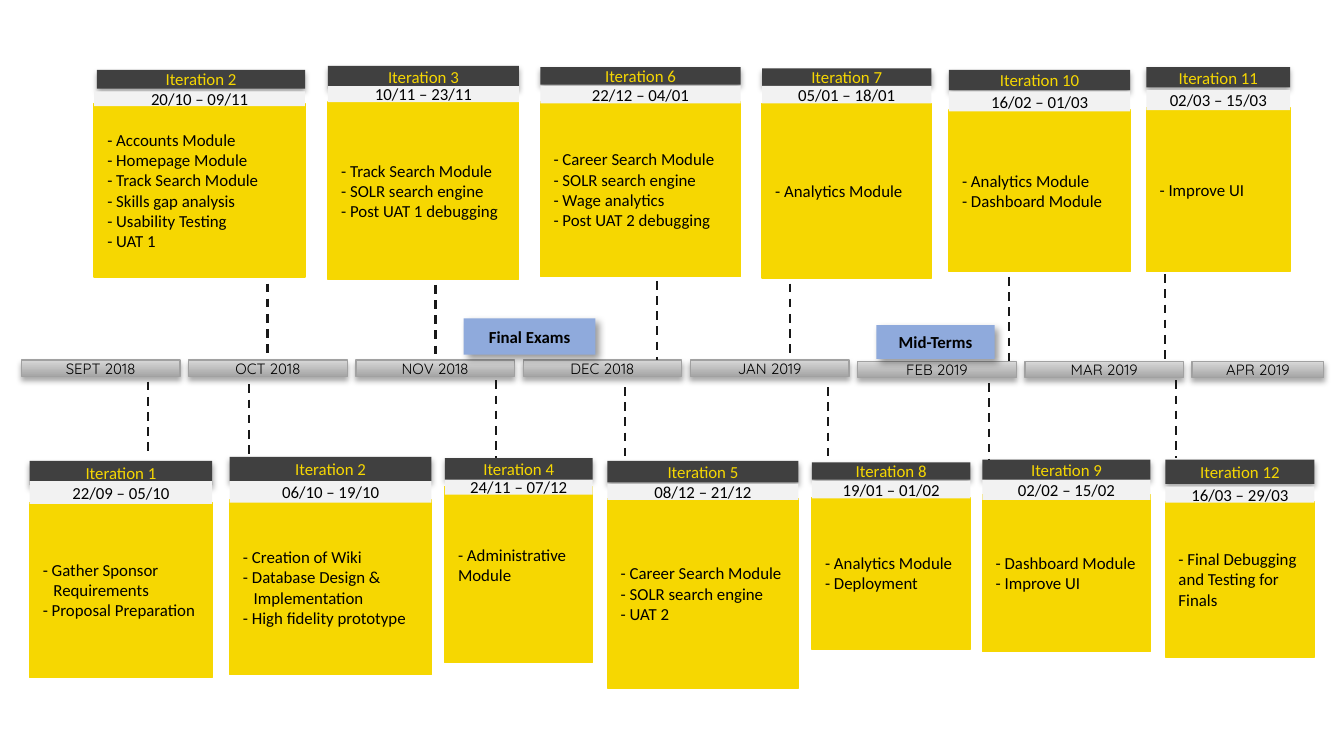
from typing import NamedTuple

from lxml import etree
from pptx import Presentation
from pptx.dml.color import RGBColor
from pptx.enum.dml import MSO_LINE
from pptx.enum.shapes import MSO_CONNECTOR, MSO_SHAPE
from pptx.enum.text import MSO_ANCHOR, PP_ALIGN
from pptx.oxml.ns import qn
from pptx.util import Inches, Pt

RECTANGLE = MSO_SHAPE.RECTANGLE
STRAIGHT = MSO_CONNECTOR.STRAIGHT
DASH = MSO_LINE.DASH
MIDDLE = MSO_ANCHOR.MIDDLE
LEFT, CENTER = PP_ALIGN.LEFT, PP_ALIGN.CENTER

COLORS = {
    "black": "000000", "header": "404040", "title": "F6D702",
    "date": "F2F2F2", "body": "F6D701", "event": "8FAADC",
    "month_dark": "A5A5A5", "month_light": "D8D8D8",
    "month_edge": "A1A1A1", "dash": "181818",
}
# Shadows: opacity in percent, blur and distance in points, direction in degrees
SOFT_SHADOW = (35, 3.1, 1.8, 90)
EVENT_SHADOW = (40, 4, 3, 45)


class Card(NamedTuple):
    """An iteration; header, date and body are (top, height) bands."""
    title: str
    dates: str
    left: float
    width: float
    header: tuple
    date: tuple
    body: tuple
    items: list
    header_inset: float = 0
    bottom_margin: float = 0.05


def color(name):
    return RGBColor.from_string(COLORS[name])


def write_paragraph(para, text, font="Calibri", size=9, ink="black",
                    bold=False, align=CENTER, indent=0):
    para.alignment = align
    if indent:
        para._p.get_or_add_pPr().set("marL", str(Inches(indent)))
    span = para.add_run()
    span.text = text
    span.font.name = font
    span.font.size = Pt(size)
    span.font.bold = bold
    span.font.color.rgb = color(ink)


class Timeline:
    def __init__(self, deck):
        self.page = deck.slides.add_slide(deck.slide_layouts[6])

    def box(self, left, top, width, height, fill=None, edge=None, shadow=None):
        box = self.page.shapes.add_shape(
            RECTANGLE, Inches(left), Inches(top), Inches(width), Inches(height))
        if fill:
            box.fill.solid()
            box.fill.fore_color.rgb = color(fill)
        if edge:
            box.line.color.rgb = color(edge)
            box.line.width = Pt(0.75)
        else:
            box.line.fill.background()
        box.shadow.inherit = False
        if shadow:
            self.cast_shadow(box, *shadow)
        box.text_frame.word_wrap = True
        box.text_frame.vertical_anchor = MIDDLE
        return box

    def cast_shadow(self, box, opacity, blur, distance, direction):
        effects = box._element.spPr.find(qn("a:effectLst"))
        outer = etree.SubElement(
            effects, qn("a:outerShdw"), blurRad=str(Pt(blur)),
            dist=str(Pt(distance)), dir=str(direction * 60000),
            algn="t", rotWithShape="0")
        tint = etree.SubElement(outer, qn("a:srgbClr"), val=COLORS["black"])
        etree.SubElement(tint, qn("a:alpha"), val=str(opacity * 1000))

    def label(self, text, left, top, width, height, fill, shadow=None, **style):
        box = self.box(left, top, width, height, fill, shadow=shadow)
        write_paragraph(box.text_frame.paragraphs[0], text, **style)

    def month(self, text, left, top, width):
        box = self.box(left, top, width, 0.12, edge="month_edge",
                       shadow=SOFT_SHADOW)
        box.fill.gradient()
        box.fill.gradient_angle = 90
        for stop, name in zip(box.fill.gradient_stops,
                              ("month_dark", "month_light")):
            stop.color.rgb = color(name)
        write_paragraph(box.text_frame.paragraphs[0], text,
                        font="Quicksand", size=8)

    def card(self, card):
        self.label(card.title, card.left + card.header_inset, card.header[0],
                   card.width - card.header_inset, card.header[1], "header",
                   SOFT_SHADOW, ink="title")
        body = self.box(card.left, card.body[0], card.width, card.body[1],
                        "body", edge="title")
        frame = body.text_frame
        frame.margin_bottom = Inches(card.bottom_margin)
        for number, item in enumerate(card.items):
            para = frame.add_paragraph() if number else frame.paragraphs[0]
            # A line without a dash continues the item above it
            indent = 0 if item.startswith("-") else 0.08
            write_paragraph(para, item, align=LEFT, indent=indent)
        self.label(card.dates, card.left, card.date[0], card.width,
                   card.date[1], "date")

    def dashed_line(self, x, top, bottom):
        line = self.page.shapes.add_connector(
            STRAIGHT, Inches(x), Inches(top), Inches(x), Inches(bottom))
        line.line.color.rgb = color("dash")
        line.line.width = Pt(1.15)
        line.line.dash_style = DASH
        etree.SubElement(line._element.spPr, qn("a:effectLst"))


MONTHS = ["SEPT 2018", "OCT 2018", "NOV 2018", "DEC 2018",
          "JAN 2019", "FEB 2019", "MAR 2019", "APR 2019"]
MONTH_LEFT, LAST_MONTH_LEFT = 0.16, 8.87

CARDS = [
    # Above the timeline
    Card("Iteration 2", "20/10 – 09/11", 0.7, 1.57,
         (0.52, 0.14), (0.68, 0.11), (0.77, 1.29),
         ["- Accounts Module", "- Homepage Module", "- Track Search Module",
          "- Skills gap analysis", "- Usability Testing", "- UAT 1"],
         header_inset=0.02),
    Card("Iteration 3", "10/11 – 23/11", 2.44, 1.42,
         (0.49, 0.17), (0.64, 0.12), (0.76, 1.32),
         ["- Track Search Module", "- SOLR search engine",
          "- Post UAT 1 debugging"]),
    Card("Iteration 6", "22/12 – 04/01", 4.02, 1.49,
         (0.5, 0.13), (0.64, 0.13), (0.76, 1.3),
         ["- Career Search Module", "- SOLR search engine",
          "- Wage analytics", "- Post UAT 2 debugging"]),
    Card("Iteration 7", "05/01 – 18/01", 5.67, 1.26,
         (0.51, 0.13), (0.64, 0.13), (0.77, 1.3), ["- Analytics Module"]),
    Card("Iteration 10", "16/02 – 01/03", 7.06, 1.35,
         (0.52, 0.15), (0.68, 0.15), (0.82, 1.2),
         ["- Analytics Module", "- Dashboard Module"]),
    Card("Iteration 11", "02/03 – 15/03", 8.53, 1.07,
         (0.5, 0.15), (0.67, 0.15), (0.8, 1.22), ["- Improve UI"]),
    # Below the timeline
    Card("Iteration 1", "22/09 – 05/10", 0.22, 1.36,
         (3.43, 0.18), (3.58, 0.17), (3.74, 1.3),
         ["- Gather Sponsor", "Requirements", "- Proposal Preparation"]),
    Card("Iteration 2", "06/10 – 19/10", 1.71, 1.5,
         (3.4, 0.18), (3.58, 0.16), (3.72, 1.3),
         ["- Creation of Wiki", "- Database Design &", "Implementation",
          "- High fidelity prototype"]),
    Card("Iteration 4", "24/11 – 07/12", 3.31, 1.1,
         (3.41, 0.16), (3.57, 0.11), (3.62, 1.31),
         ["- Administrative Module"], bottom_margin=0.2),
    Card("Iteration 5", "08/12 – 21/12", 4.52, 1.42,
         (3.43, 0.16), (3.6, 0.12), (3.71, 1.41),
         ["- Career Search Module", "- SOLR search engine", "- UAT 2"]),
    Card("Iteration 8", "19/01 – 01/02", 6.04, 1.18,
         (3.44, 0.13), (3.58, 0.13), (3.7, 1.13),
         ["- Analytics Module", "- Deployment"]),
    Card("Iteration 9", "02/02 – 15/02", 7.31, 1.25,
         (3.42, 0.15), (3.57, 0.15), (3.68, 1.17),
         ["- Dashboard Module", "- Improve UI"]),
    Card("Iteration 12", "16/03 – 29/03", 8.67, 1.11,
         (3.42, 0.18), (3.62, 0.12), (3.73, 1.16),
         ["- Final Debugging and Testing for Finals"]),
]

# Each line is x, top, bottom
DASHED_LINES = [
    (1.99, 2.11, 2.66), (3.24, 2.12, 2.67), (4.89, 2.09, 2.68),
    (5.88, 2.11, 2.66), (7.51, 2.06, 2.7), (8.67, 2.04, 2.68),
    (1.1, 2.84, 3.39), (1.85, 2.86, 3.41), (3.69, 2.83, 3.49),
    (4.65, 2.88, 3.43), (6.16, 2.88, 3.43), (7.36, 2.85, 3.44),
    (8.75, 2.83, 3.41),
]


def main():
    deck = Presentation()
    deck.slide_width = Inches(10)
    deck.slide_height = deck.slide_width * 9 // 16
    timeline = Timeline(deck)

    # Month bar, slightly lower from February, with a shorter last month
    last = len(MONTHS) - 1
    step = (LAST_MONTH_LEFT - MONTH_LEFT) / last
    for number, name in enumerate(MONTHS):
        timeline.month(name, MONTH_LEFT + number * step,
                       2.68 if number < 5 else 2.69,
                       0.98 if number == last else 1.18)

    # Links to the months, then the iterations over their ends
    for line in DASHED_LINES:
        timeline.dashed_line(*line)
    for card in CARDS:
        timeline.card(card)

    # Exam periods
    timeline.label("Final Exams", 3.45, 2.37, 0.98, 0.27, "event",
                   EVENT_SHADOW, bold=True)
    timeline.label("Mid-Terms", 6.52, 2.42, 0.88, 0.25, "event",
                   EVENT_SHADOW, bold=True)
    deck.save("out.pptx")


if __name__ == "__main__":
    main()
